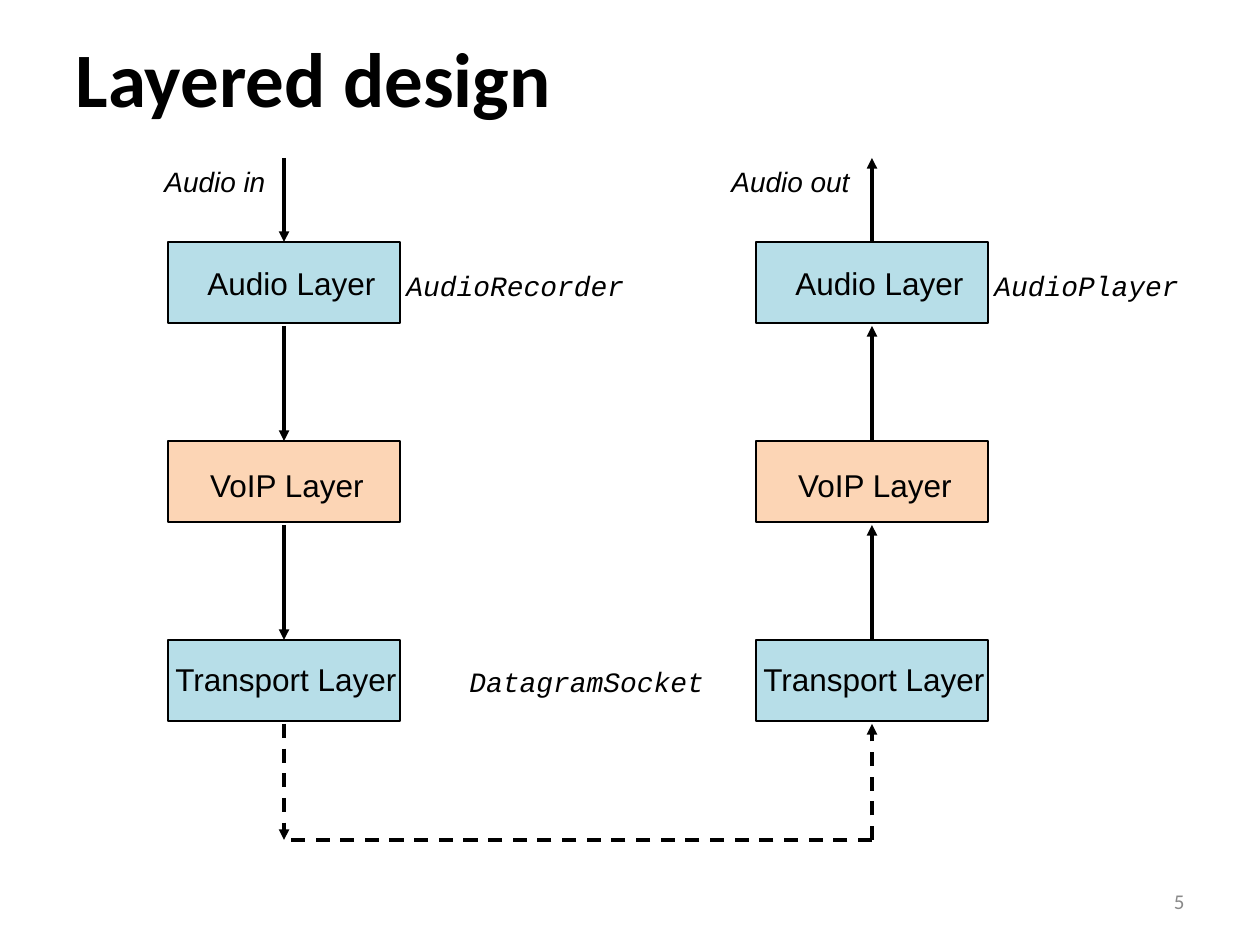
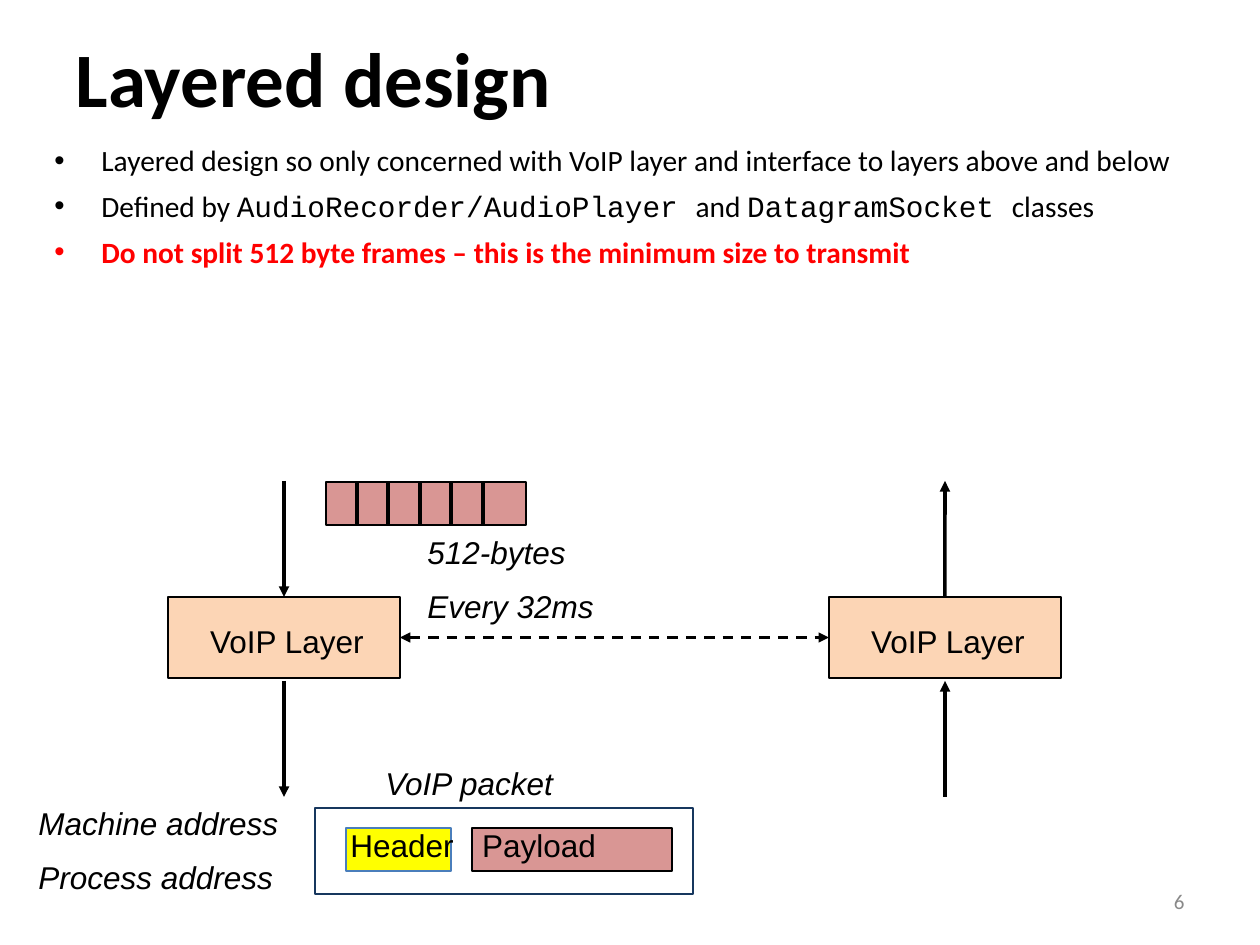
from lxml import etree
from pptx import Presentation
from pptx.dml.color import RGBColor
from pptx.enum.dml import MSO_LINE
from pptx.enum.shapes import MSO_CONNECTOR, MSO_SHAPE
from pptx.enum.text import MSO_ANCHOR, MSO_AUTO_SIZE, PP_ALIGN
from pptx.oxml.ns import qn
from pptx.util import Pt

LEFT, CENTER, RIGHT = PP_ALIGN.LEFT, PP_ALIGN.CENTER, PP_ALIGN.RIGHT
MIDDLE = MSO_ANCHOR.MIDDLE
RECTANGLE = MSO_SHAPE.RECTANGLE
STRAIGHT = MSO_CONNECTOR.STRAIGHT
DASH = MSO_LINE.DASH
TOP_SIDE, LEFT_SIDE, RIGHT_SIDE = 0, 1, 3
TITLE_ONLY = 5
EMU_PER_PX = 914400 / 126

COLORS = {
    "ink": "000000",
    "blue": "B7DEE8",
    "peach": "FCD5B5",
    "rose": "D99694",
    "yellow": "FFFF00",
    "navy": "17375E",
    "steel": "4A7EBB",
    "red": "FF0000",
    "grey": "898989",
}

TITLE = "Layered design"
LABEL_INDENT = 16
BOX_W, BOX_H = 232, 81
ARROW_GAP, ARROW_LENGTH = 3, 116

LAYERS = {
    "Audio Layer": dict(fill="blue", dx=11, dy=16, width=210, align=LEFT),
    "VoIP Layer": dict(fill="peach", dx=11, dy=19, width=200, align=CENTER),
    "Transport Layer": dict(fill="blue", dx=-21, dy=14, width=275, align=LEFT),
}
STACK_TOP, STACK_PITCH = 242, 199
STACK_ENTRY, STACK_EXIT = 158, 840
SENDER_X, RECEIVER_X = 168, 756

STACK_NOTES = [
    ("Audio in", 136, 158, 170, "Arial"),
    ("Audio out", 703, 158, 180, "Arial"),
    ("AudioRecorder", 378, 262, 273, "Courier New"),
    ("AudioPlayer", 966, 262, 273, "Courier New"),
    ("DatagramSocket", 441, 658, 294, "Courier New"),
]

CODE = dict(font="Courier New")
WARNING = dict(color="red", bold=True)
POINTS = [
    ["Layered design so only concerned with VoIP layer and interface to layers above and below"],
    ["Defined by ", ("AudioRecorder/AudioPlayer ", CODE), "and ",
     ("DatagramSocket ", CODE), "classes"],
    [("Do not split 512 byte frames – this is the minimum size to transmit", WARNING)],
]

VOIP_TOP, PEER_X = 597, 829
FRAMES = (326, 482, 200, 43)
FIRST_DIVIDER, LAST_DIVIDER, DIVIDER_COUNT = 357, 483, 5
PACKET_PARTS = [
    (472, 828, 200, 43, "rose", "ink"),
    (315, 808, 378, 86, None, "navy"),
    (346, 828, 105, 43, "yellow", "steel"),
]
PACKET_LABELS = [("Header", 294, 820, 200), ("Payload", 431, 820, 200)]
PACKET_NOTES = [
    (["512-bytes", "Every 32ms"], 399, 527, 231),
    (["VoIP packet"], 357, 758, 231),
    (["Machine address"], 10, 798, 294),
    (["Process address"], 10, 852, 294),
]


def emu(px):
    return round(px * EMU_PER_PX)


def rgb(name):
    return RGBColor.from_string(COLORS[name])


def write(frame, paragraphs, size=18, font="Arial", color="ink", bold=False, italic=False,
          align=LEFT, indent=0, hanging=0, before=0, after=0, bullet=None, anchor=None):
    frame.word_wrap = True
    frame.auto_size = MSO_AUTO_SIZE.NONE
    if anchor is not None:
        frame.vertical_anchor = anchor
    for index, content in enumerate(paragraphs):
        paragraph = frame.add_paragraph() if index else frame.paragraphs[0]
        paragraph.alignment = align
        paragraph.space_before, paragraph.space_after = Pt(before), Pt(after)
        pieces = [content] if isinstance(content, str) else content
        pieces = [(p, {}) if isinstance(p, str) else p for p in pieces]
        properties = paragraph._p.get_or_add_pPr()
        properties.set("marL", str(emu(indent)))
        properties.set("indent", str(emu(-hanging)))
        if bullet:
            tint = etree.SubElement(properties, qn("a:buClr"))
            bullet_color = COLORS[pieces[0][1].get("color", color)]
            etree.SubElement(tint, qn("a:srgbClr"), val=bullet_color)
            etree.SubElement(properties, qn("a:buFont"), typeface="Arial")
            etree.SubElement(properties, qn("a:buChar"), char=bullet)
        for words, changes in pieces:
            run = paragraph.add_run()
            run.text = words
            run.font.size = Pt(size)
            run.font.name = changes.get("font", font)
            run.font.bold = changes.get("bold", bold)
            run.font.italic = italic
            run.font.color.rgb = rgb(changes.get("color", color))


def label(slide, paragraphs, x, y, width, height=50, **style):
    area = slide.shapes.add_textbox(emu(x), emu(y), emu(width), emu(height))
    write(area.text_frame, paragraphs, **style)


def box(slide, x, y, width, height, fill, line="ink"):
    rectangle = slide.shapes.add_shape(RECTANGLE, emu(x), emu(y), emu(width), emu(height))
    rectangle.shadow.inherit = False
    if fill:
        rectangle.fill.solid()
        rectangle.fill.fore_color.rgb = rgb(fill)
    else:
        rectangle.fill.background()
    rectangle.line.color.rgb = rgb(line)
    rectangle.line.width = Pt(0.75)
    return rectangle


def connect(slide, x1, y1, x2, y2, start=None, end=None, width=2, dashed=False, heads=("tailEnd",)):
    link = slide.shapes.add_connector(STRAIGHT, emu(x1), emu(y1), emu(x2), emu(y2))
    if start:
        link.begin_connect(*start)
    if end:
        link.end_connect(*end)
    link.line.color.rgb = rgb("ink")
    link.line.width = Pt(width)
    if dashed:
        link.line.dash_style = DASH
    outline = link.line._get_or_add_ln()
    for head in heads:
        etree.SubElement(outline, qn(f"a:{head}"), type="triangle")
    etree.SubElement(link._element.spPr, qn("a:effectLst"))


def layer(slide, name, x, y):
    look = LAYERS[name]
    rectangle = box(slide, x, y, BOX_W, BOX_H, look["fill"])
    label(slide, [name], x + look["dx"], y + look["dy"], look["width"],
          align=look["align"], indent=LABEL_INDENT, after=9)
    return rectangle


def flow(slide, x, upper, lower, upward, target=None, dashed=False):
    joint = (target, TOP_SIDE) if target else None
    if upward:
        connect(slide, x, lower, x, upper, start=joint, dashed=dashed)
    else:
        connect(slide, x, upper, x, lower, end=joint, dashed=dashed)


def new_slide(deck, number):
    slide = deck.slides.add_slide(deck.slide_layouts[TITLE_ONLY])
    title = slide.shapes.title
    title.left, title.top, title.width, title.height = map(emu, (63, 21, 1134, 111))
    write(title.text_frame, [TITLE], size=44, font="Calibri", bold=True, anchor=MIDDLE)
    label(slide, [str(number)], 903, 876, 294, size=12, font="Calibri", color="grey",
          align=RIGHT, anchor=MIDDLE)
    return slide


def stack(slide, x, upward):
    middle = x + BOX_W // 2
    departure = STACK_ENTRY
    for row, name in enumerate(LAYERS):
        top = STACK_TOP + row * STACK_PITCH
        rectangle = layer(slide, name, x, top)
        flow(slide, middle, departure, top, upward, rectangle)
        departure = top + BOX_H + ARROW_GAP
    flow(slide, middle, departure, STACK_EXIT, upward, dashed=True)
    return middle


def build_layers(deck):
    slide = new_slide(deck, 5)
    sender = stack(slide, SENDER_X, upward=False)
    receiver = stack(slide, RECEIVER_X, upward=True)
    connect(slide, receiver, STACK_EXIT, sender, STACK_EXIT, dashed=True, heads=())
    for words, x, y, width, font in STACK_NOTES:
        label(slide, [words], x, y, width, size=16, font=font, italic=True,
              indent=LABEL_INDENT, after=8)


def build_packets(deck):
    slide = new_slide(deck, 6)
    label(slide, POINTS, 42, 136, 1155, 210, size=16.8, font="Calibri",
          indent=47, hanging=47, before=6, bullet="•")
    peers = []
    for x, upward in ((SENDER_X, False), (PEER_X, True)):
        peer = layer(slide, "VoIP Layer", x, VOIP_TOP)
        middle = x + BOX_W // 2
        below = VOIP_TOP + BOX_H + ARROW_GAP
        flow(slide, middle, VOIP_TOP - ARROW_LENGTH, VOIP_TOP, upward, peer)
        flow(slide, middle, below, below + ARROW_LENGTH, upward)
        peers.append(peer)

    box(slide, *FRAMES, "rose")
    frames_top, frames_bottom = FRAMES[1], FRAMES[1] + FRAMES[3]
    for index in range(DIVIDER_COUNT):
        x = FIRST_DIVIDER + (LAST_DIVIDER - FIRST_DIVIDER) * index // (DIVIDER_COUNT - 1)
        connect(slide, x, frames_top, x, frames_bottom, heads=())

    for part in PACKET_PARTS:
        box(slide, *part)
    for words, x, y, width in PACKET_LABELS:
        label(slide, [words], x, y, width, align=CENTER, indent=LABEL_INDENT, after=9)
    for lines, x, y, width in PACKET_NOTES:
        label(slide, lines, x, y, width, italic=True, indent=LABEL_INDENT, after=9)
    link_y = VOIP_TOP + BOX_H // 2
    connect(slide, SENDER_X + BOX_W, link_y, PEER_X, link_y, start=(peers[0], RIGHT_SIDE),
            end=(peers[1], LEFT_SIDE), width=1.5, dashed=True, heads=("headEnd", "tailEnd"))


def main():
    deck = Presentation()
    deck.slide_width, deck.slide_height = emu(1260), emu(945)
    build_layers(deck)
    build_packets(deck)
    deck.save("out.pptx")


if __name__ == "__main__":
    main()
